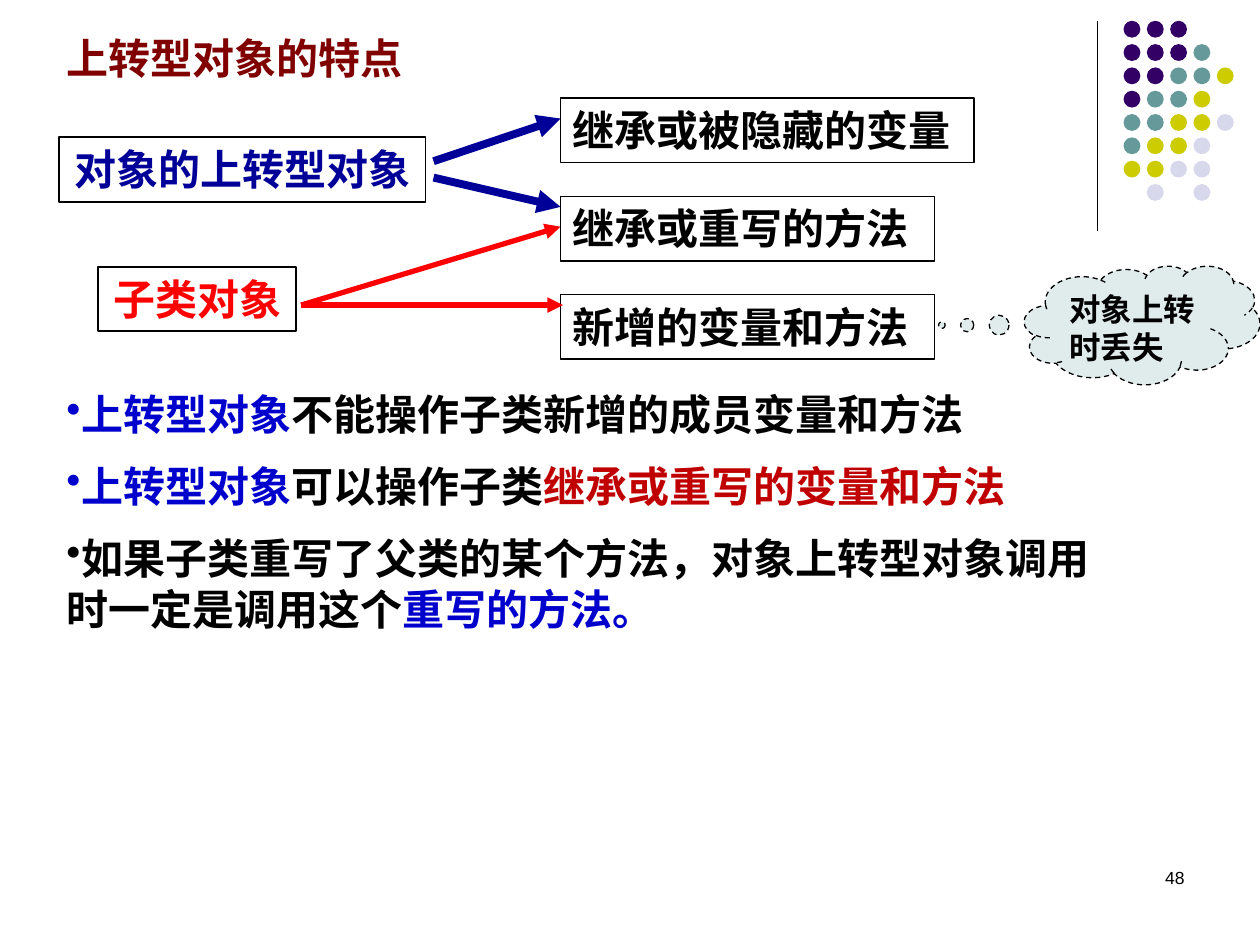
from lxml.etree import SubElement
from pptx import Presentation
from pptx.dml.color import RGBColor
from pptx.enum.dml import MSO_LINE
from pptx.enum.shapes import MSO_CONNECTOR, MSO_SHAPE
from pptx.enum.text import MSO_ANCHOR, PP_ALIGN
from pptx.oxml.ns import qn
from pptx.util import Cm, Pt

COLORS = {
    "black": "000000", "maroon": "800000", "navy": "000099", "blue": "0000CC",
    "red": "FF0000", "crimson": "C00000", "mist": "E0EBEB",
    "P": "330066", "T": "669999", "Y": "CCCC00", "L": "D8D8EC",
}


def rgb(name):
    return RGBColor.from_string(COLORS[name])


def write(shape, paragraphs, size=24, font="Times New Roman", bold=True,
          align=PP_ALIGN.LEFT, bullet=None, line=None, before=0):
    """Each paragraph is a list of (text, colour) runs."""
    frame = shape.text_frame
    frame.word_wrap = True
    frame.vertical_anchor = MSO_ANCHOR.TOP
    for index, runs in enumerate(paragraphs):
        paragraph = frame.add_paragraph() if index else frame.paragraphs[0]
        paragraph.alignment = align
        if line:
            paragraph.line_spacing = line
        if index:
            paragraph.space_before = Pt(before)
        if bullet:
            SubElement(paragraph._p.get_or_add_pPr(), qn("a:buChar"), char=bullet)
        for text, color in runs:
            run = paragraph.add_run()
            run.text = text
            run.font.size = Pt(size)
            run.font.bold = bold
            run.font.name = font
            run.font.color.rgb = rgb(color)
            SubElement(run._r.get_or_add_rPr(), qn("a:ea"), typeface="Noto Sans CJK SC")


prs = Presentation()
prs.slide_width, prs.slide_height = Cm(25.4), Cm(19.05)
slide = prs.slides.add_slide(prs.slide_layouts[6])
shapes = slide.shapes

# Dot ornament in the top right corner
dot_rows = ["PPP", "PPPT", "PPTTY", "PTTY", "TTYYL", "TYYL", "YYLL", " L L"]
dot_pitch, dot_size = 0.47, 0.34
for row, marks in enumerate(dot_rows):
    for column, mark in enumerate(marks):
        if mark == " ":
            continue
        dot = shapes.add_shape(MSO_SHAPE.OVAL, Cm(22.65 + column * dot_pitch),
                               Cm(0.42 + row * dot_pitch), Cm(dot_size), Cm(dot_size))
        dot.shadow.inherit = False
        dot.fill.solid()
        dot.fill.fore_color.rgb = rgb(mark)
        dot.line.fill.background()

# Title, rules and page number
title = shapes.add_textbox(Cm(1.09), Cm(0.53), Cm(21.16), Cm(1.3))
write(title, [[("上转型对象的特点", "maroon")]], font="Noto Sans CJK SC", line=Pt(29))

rules = shapes.add_textbox(Cm(1.09), Cm(7.71), Cm(21.16), Cm(5.6))
write(rules, [
    [("上转型对象", "blue"), ("不能操作子类新增的成员变量和方法", "black")],
    [("上转型对象", "blue"), ("可以操作子类", "black"),
     ("继承或重写的变量和方法", "crimson")],
    [("如果子类重写了父类的某个方法，对象上转型对象调用时一定是调用这个", "black"),
     ("重写的方法。", "blue")],
], font="Noto Sans CJK SC", bullet="•", line=Pt(29), before=12)

page_number = shapes.add_textbox(Cm(18.21), Cm(17.35), Cm(5.92), Cm(1.27))
write(page_number, [[("48", "black")]], size=10, font="Arial", bold=False,
      align=PP_ALIGN.RIGHT)

# Objects on the left, their members on the right
member_left, member_top, member_pitch = 11.3, 1.98, 1.98
boxes = [
    ("对象的上转型对象", "navy", 1.19, 2.77, 7.39, PP_ALIGN.CENTER),
    ("子类对象", "red", 1.98, 5.38, 3.99, PP_ALIGN.CENTER),
]
members = [("继承或被隐藏的变量", 8.33), ("继承或重写的方法", 7.54), ("新增的变量和方法", 7.54)]
for index, (text, width) in enumerate(members):
    boxes.append((text, "black", member_left, member_top + index * member_pitch,
                  width, PP_ALIGN.LEFT))
for text, color, left, top, width, align in boxes:
    box = shapes.add_shape(MSO_SHAPE.RECTANGLE, Cm(left), Cm(top), Cm(width), Cm(1.3))
    box.shadow.inherit = False
    box.fill.background()
    box.line.color.rgb = rgb("black")
    box.line.width = Pt(1)
    write(box, [[(text, color)]], align=align, line=Pt(29))

# Cloud remark
cloud = shapes.add_shape(MSO_SHAPE.CLOUD_CALLOUT, Cm(20.65), Cm(5.36), Cm(4.75), Cm(2.39))
cloud.adjustments[0], cloud.adjustments[1] = -0.85, 0
cloud.shadow.inherit = False
cloud.fill.solid()
cloud.fill.fore_color.rgb = rgb("mist")
cloud.line.color.rgb = rgb("black")
cloud.line.width = Pt(0.75)
cloud.line.dash_style = MSO_LINE.DASH
write(cloud, [[("对象上转时丢失", "black")]], size=18, font="Arial", line=Pt(21.7))

# Divider and arrows
lines = [
    (22.12, 0.43, 22.12, 4.65, "black", 0.75, False),
    (6.07, 6.15, 11.3, 4.57, "red", 3, True),
    (6.07, 6.15, 11.35, 6.15, "red", 3, True),
    (8.74, 3.25, 11.3, 2.39, "navy", 4.5, True),
    (8.74, 3.58, 11.3, 4.17, "navy", 4.5, True),
]
for x1, y1, x2, y2, color, weight, has_head in lines:
    link = shapes.add_connector(MSO_CONNECTOR.STRAIGHT, Cm(x1), Cm(y1), Cm(x2), Cm(y2))
    link.line.color.rgb = rgb(color)
    link.line.width = Pt(weight)
    if has_head:
        SubElement(link.line._get_or_add_ln(), qn("a:tailEnd"), type="triangle")
    SubElement(link._element.spPr, qn("a:effectLst"))

prs.save("out.pptx")
